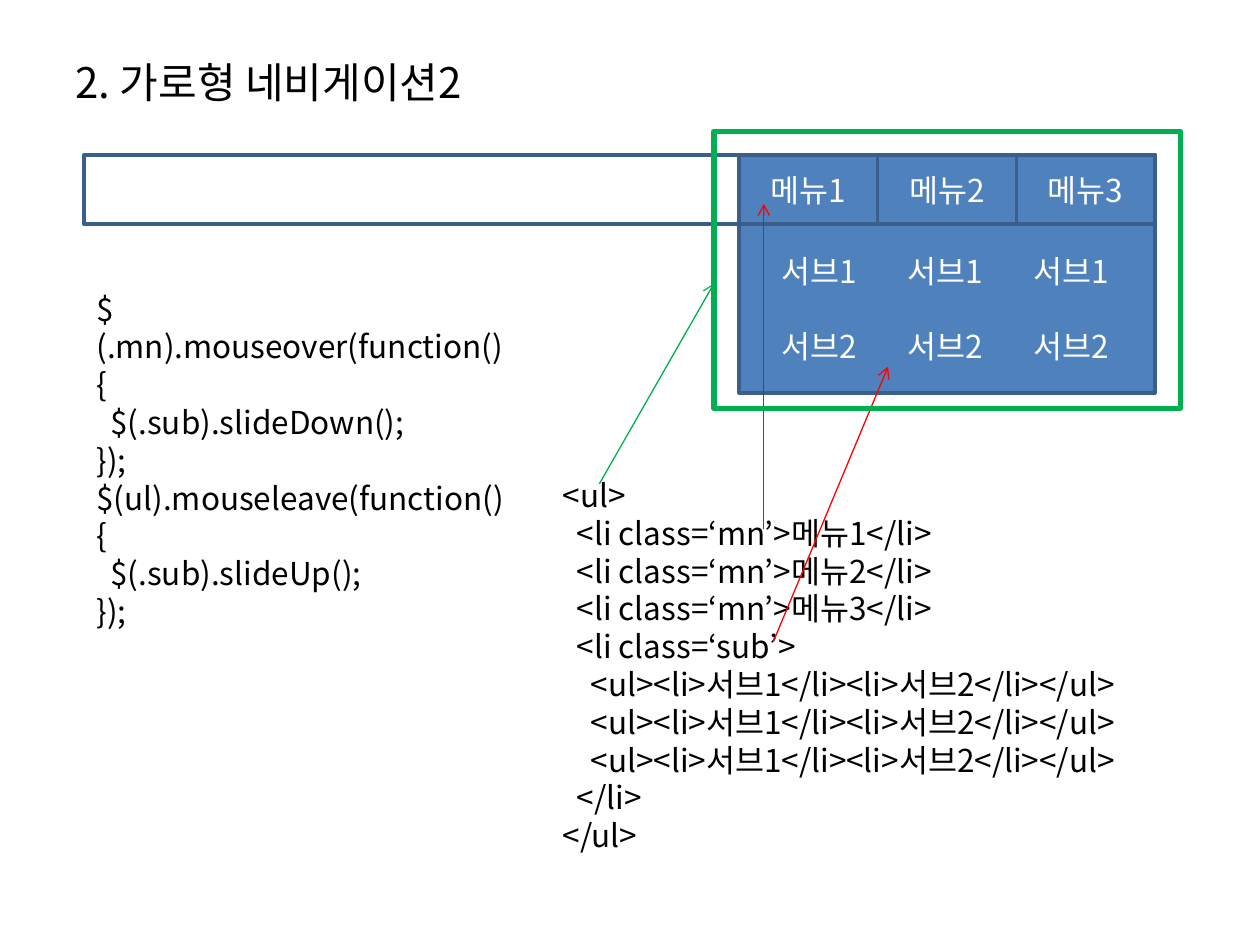
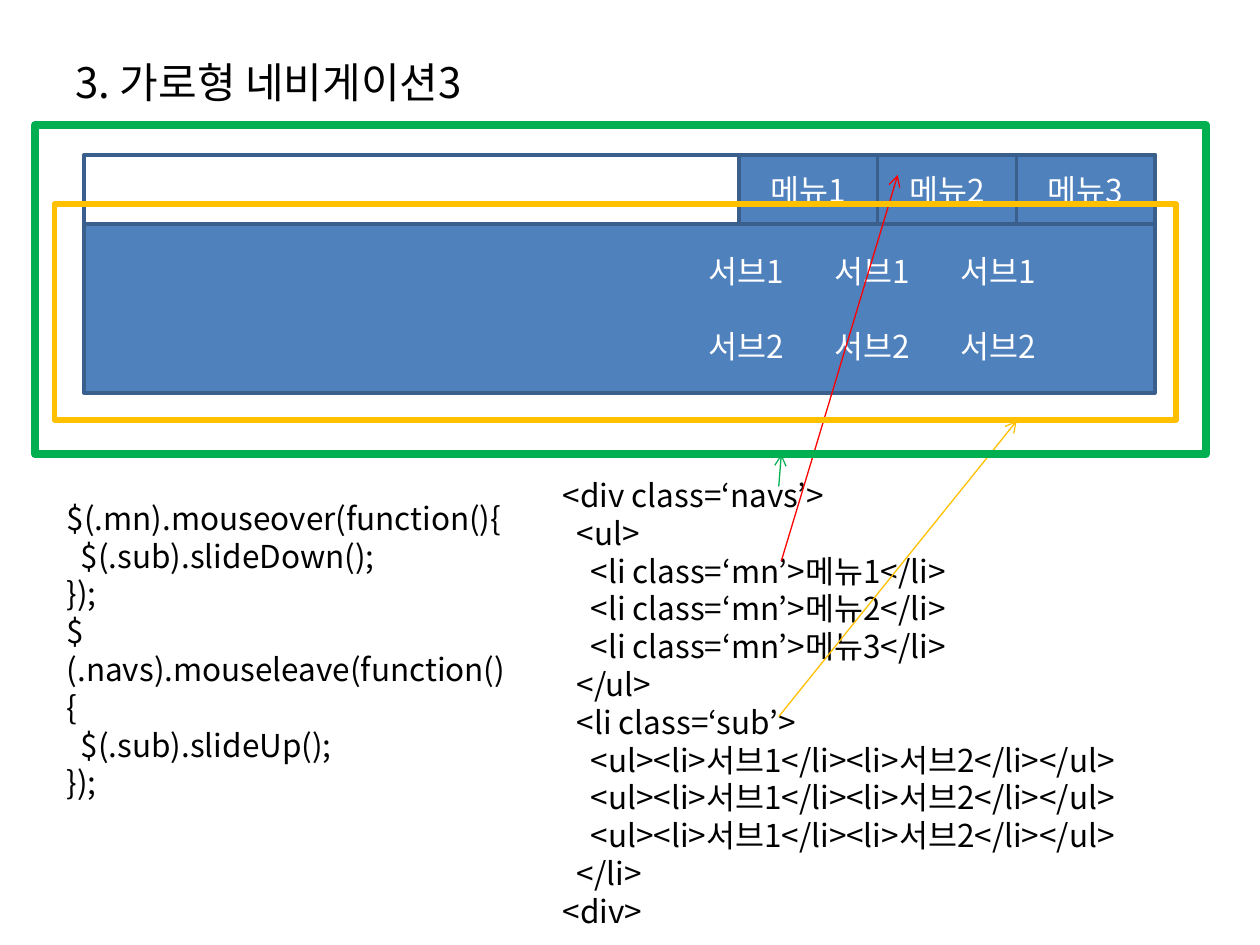
import dataclasses

import pptx
import pptx.dml.color
import pptx.enum.shapes
import pptx.enum.text
import pptx.oxml.ns
import pptx.util
from lxml import etree

Pt = pptx.util.Pt
RGBColor = pptx.dml.color.RGBColor
Align = pptx.enum.text.PP_ALIGN
Anchor = pptx.enum.text.MSO_ANCHOR
qn = pptx.oxml.ns.qn


@dataclasses.dataclass(frozen=True)
class Theme:
    font: str = "Noto Sans CJK KR"
    title_size: int = 24
    body_size: int = 18
    black: str = "000000"
    white: str = "FFFFFF"
    blue: str = "4F81BD"
    border: str = "3A5F8C"
    green: str = "00B050"
    red: str = "FF0000"
    amber: str = "FFC000"


theme = Theme()

BAR_LEFT, BAR_TOP, BAR_WIDTH, BAR_HEIGHT = 48, 88.5, 612, 39.5
BAR_RIGHT = BAR_LEFT + BAR_WIDTH
MENU_WIDTH = 79.2
SUB_TOP, SUB_HEIGHT, SUB_PITCH = BAR_TOP + BAR_HEIGHT, 96.5, 72
CODE_INDENT = 8
LINE_HEIGHT = 21.6


def write(shape, lines, size, color, align=Align.LEFT, anchor=Anchor.TOP):
    frame = shape.text_frame
    frame.word_wrap = True
    frame.vertical_anchor = anchor
    frame.text = "\n".join(text for level, text in lines)
    for paragraph, (level, text) in zip(frame.paragraphs, lines):
        paragraph.alignment = align
        paragraph._p.get_or_add_pPr().set("marL", str(Pt(level * CODE_INDENT)))
        for run in paragraph.runs:
            run.font.name = theme.font
            run.font.size = Pt(size)
            run.font.color.rgb = RGBColor.from_string(color)
            east_asian = etree.SubElement(run._r.get_or_add_rPr(), qn("a:ea"))
            east_asian.set("typeface", theme.font)
    return frame


def add_box(slide, bounds, line_color, line_width, fill=None):
    shape = slide.shapes.add_shape(
        pptx.enum.shapes.MSO_SHAPE.RECTANGLE, *map(Pt, bounds))
    shape.shadow.inherit = False
    shape.line.color.rgb = RGBColor.from_string(line_color)
    shape.line.width = Pt(line_width)
    if fill:
        shape.fill.solid()
        shape.fill.fore_color.rgb = RGBColor.from_string(fill)
    else:
        shape.fill.background()
    return shape


def_menu_items = [f"<li class=‘mn’>메뉴{number}</li>" for number in (1, 2, 3)]
sub_lists = [(2, "<ul><li>서브1</li><li>서브2</li></ul>")] * 3
sub_markup = [(1, "<li class=‘sub’>"), *sub_lists, (1, "</li>")]

pages = [
    {
        "title": "2. 가로형 네비게이션2",
        "sub_left": BAR_RIGHT - 3 * MENU_WIDTH,
        "sub_inset": 24,
        "markup": [(0, "<ul>"), *[(1, item) for item in def_menu_items],
                   *sub_markup, (0, "</ul>")],
        "markup_height": 225.5,
        "script_bounds": (48, 162, 250.5, 138),
        "leave_target": "ul",
        "arrows": [
            (theme.red, (436.5, 302.5, 436.5, 116.5)),
            (theme.red, (442, 366.5, 507.5, 209.5)),
            (theme.green, (342.5, 276.5, 408, 162)),
        ],
        "frames": [(theme.green, 3, (408, 75, 266.5, 158.5))],
    },
    {
        "title": "3. 가로형 네비게이션3",
        "sub_left": BAR_LEFT,
        "sub_inset": 357,
        "markup": [(0, "<div class=‘navs’>"), (1, "<ul>"),
                   *[(2, item) for item in def_menu_items], (1, "</ul>"),
                   *sub_markup, (0, "<div>")],
        "markup_height": 269,
        "script_bounds": (31, 281.5, 267, 138),
        "leave_target": ".navs",
        "arrows": [
            (theme.green, (445, 278, 446.5, 259.5)),
            (theme.red, (446.5, 320.5, 513, 100)),
            (theme.amber, (445, 409.5, 581, 240.5)),
        ],
        "frames": [(theme.green, 4.5, (20, 71.5, 669, 188)),
                   (theme.amber, 3, (31, 116.5, 641, 123.5))],
    },
]

presentation = pptx.Presentation()
presentation.slide_width = Pt(720)
presentation.slide_height = Pt(540)

for page in pages:
    slide = presentation.slides.add_slide(presentation.slide_layouts[6])

    title = slide.shapes.add_textbox(Pt(36), Pt(21.6), Pt(648), Pt(49.7))
    write(title, [(0, page["title"])], theme.title_size, theme.black,
          anchor=Anchor.MIDDLE)

    add_box(slide, (BAR_LEFT, BAR_TOP, BAR_WIDTH, BAR_HEIGHT), theme.border, 2)
    for index in range(3):
        left = BAR_RIGHT - (3 - index) * MENU_WIDTH
        menu = add_box(slide, (left, BAR_TOP, MENU_WIDTH, BAR_HEIGHT),
                       theme.border, 2, theme.blue)
        write(menu, [(0, f"메뉴{index + 1}")], theme.body_size, theme.white,
              Align.CENTER, Anchor.MIDDLE)

    sub_left = page["sub_left"]
    sub_panel = add_box(
        slide, (sub_left, SUB_TOP, BAR_RIGHT - sub_left, SUB_HEIGHT),
        theme.border, 2, theme.blue)
    sub_rows = [(0, "\t".join([f"서브{number}"] * 3)) for number in (1, 2)]
    frame = write(sub_panel, sub_rows, theme.body_size, theme.white,
                  anchor=Anchor.MIDDLE)
    frame.margin_left = Pt(page["sub_inset"])
    frame.paragraphs[1].space_before = Pt(LINE_HEIGHT)
    for paragraph in frame.paragraphs:
        tabs = etree.SubElement(paragraph._p.get_or_add_pPr(), qn("a:tabLst"))
        for column in (1, 2):
            etree.SubElement(tabs, qn("a:tab"),
                             pos=str(Pt(column * SUB_PITCH)), algn="l")

    script_lines = [
        (0, "$(.mn).mouseover(function(){"),
        (1, "$(.sub).slideDown();"),
        (0, "});"),
        (0, f"$({page['leave_target']}).mouseleave(function(){{"),
        (1, "$(.sub).slideUp();"),
        (0, "});"),
    ]
    markup_bounds = (314.5, 268.5, 374.5, page["markup_height"])
    for bounds, lines in ((markup_bounds, page["markup"]),
                          (page["script_bounds"], script_lines)):
        code = slide.shapes.add_textbox(*map(Pt, bounds))
        write(code, lines, theme.body_size, theme.black)

    for color, ends in page["arrows"]:
        arrow = slide.shapes.add_connector(
            pptx.enum.shapes.MSO_CONNECTOR.STRAIGHT, *map(Pt, ends))
        arrow.line.color.rgb = RGBColor.from_string(color)
        arrow.line.width = Pt(0.75)
        etree.SubElement(arrow.line._get_or_add_ln(), qn("a:tailEnd"), type="arrow")
        etree.SubElement(arrow._element.spPr, qn("a:effectLst"))

    for color, width, bounds in page["frames"]:
        add_box(slide, bounds, color, width)

presentation.save("out.pptx")
